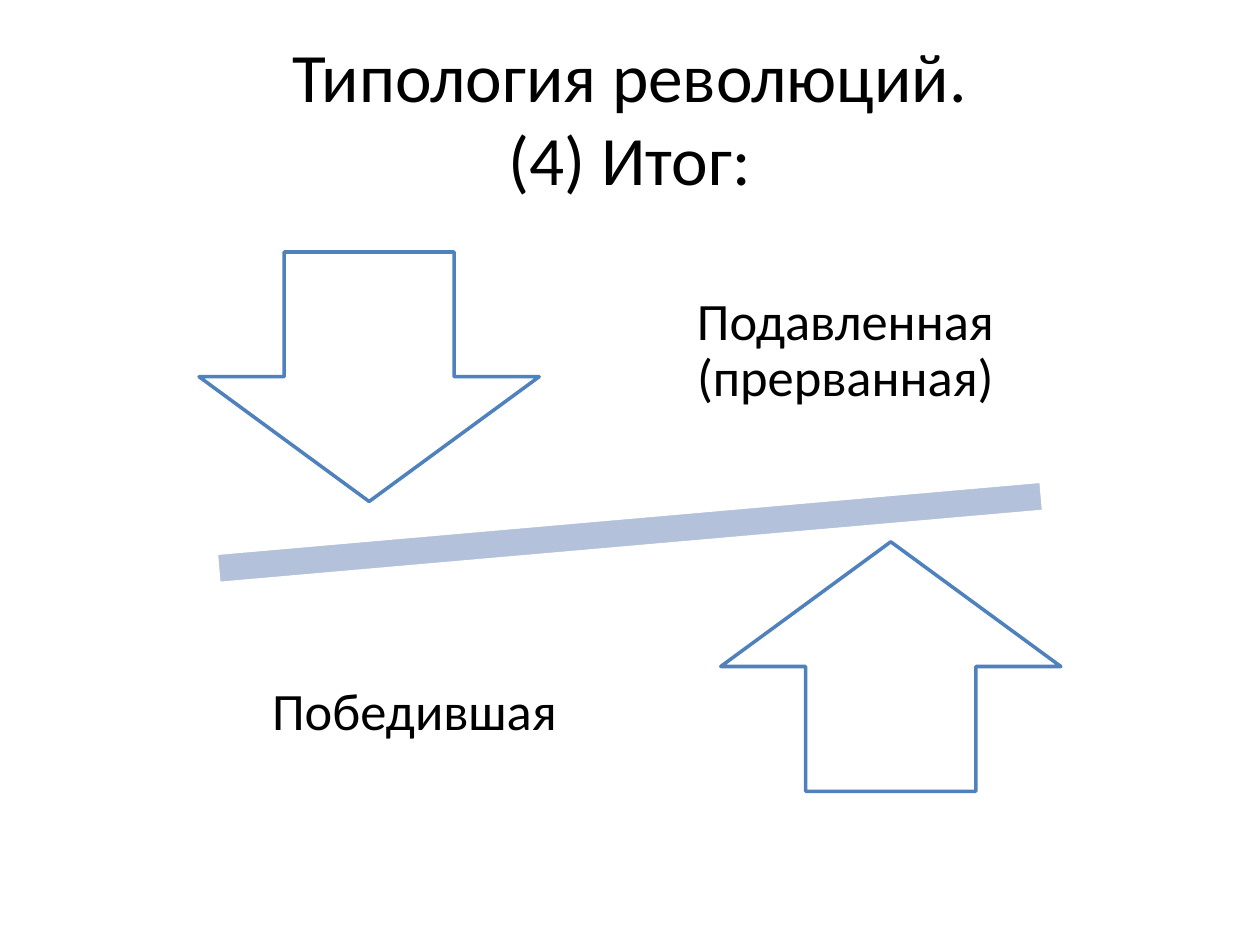
import pptx
import pptx.util
import pptx.dml.color
import pptx.enum.shapes
import pptx.enum.text

Inches = pptx.util.Inches
Pt = pptx.util.Pt
SHAPES = pptx.enum.shapes.MSO_SHAPE


def color(hex_value):
    return pptx.dml.color.RGBColor.from_string(hex_value)


def add_text(page, left, top, width, height, text, size, inset):
    box = page.shapes.add_textbox(Inches(left), Inches(top), Inches(width), Inches(height))
    frame = box.text_frame
    frame.word_wrap = True
    frame.vertical_anchor = pptx.enum.text.MSO_ANCHOR.MIDDLE
    frame.margin_left = frame.margin_right = Inches(inset)
    frame.margin_top = frame.margin_bottom = Inches(inset)
    para = frame.paragraphs[0]
    para.text = text
    para.alignment = pptx.enum.text.PP_ALIGN.CENTER
    for span in para.runs:
        span.font.size = Pt(size)
        span.font.name = "Calibri"
        span.font.color.rgb = color("000000")
    return para


def add_figure(page, kind, left, top, width, height, fill, line):
    figure = page.shapes.add_shape(kind, Inches(left), Inches(top), Inches(width), Inches(height))
    figure.shadow.inherit = False
    figure.fill.solid()
    figure.fill.fore_color.rgb = color(fill)
    figure.line.color.rgb = color(line)
    figure.line.width = Pt(2)
    return figure


def add_title(page, left, top, width, height):
    add_text(page, left, top, width, height, "Типология революций.\v(4) Итог:", 39.6, 0.05)


def add_balance(page, left, top, width, height):
    """Tilted bar with an arrow and a label on each side."""
    bar_height = 1.02
    bar = add_figure(page, SHAPES.MATH_MINUS, left, top + (height - bar_height) / 2,
                     width, bar_height, "B3C1DB", "FFFFFF")
    bar.rotation = 355

    arrow_width, arrow_height = 2.7, 1.98
    label_width, label_height = 2.88, 2.08
    arrow_inset, label_inset = 1.05, 1.32
    sides = [
        (SHAPES.DOWN_ARROW, arrow_inset, 0.25,
         "Подавленная (прерванная)", width - label_inset - label_width, 0),
        (SHAPES.UP_ARROW, width - arrow_inset - arrow_width, 2.55,
         "Победившая", label_inset, height - label_height),
    ]
    for kind, arrow_x, arrow_y, text, label_x, label_y in sides:
        add_figure(page, kind, left + arrow_x, top + arrow_y,
                   arrow_width, arrow_height, "FFFFFF", "4F81BD")
        para = add_text(page, left + label_x, top + label_y,
                        label_width, label_height, text, 30, 0.23)
        para.line_spacing = 0.9


def main():
    deck = pptx.Presentation()
    deck.slide_width = Inches(10)
    deck.slide_height = Inches(7.5)
    page = deck.slides.add_slide(deck.slide_layouts[6])
    add_title(page, 0.5, 0.3, 9, 1.25)
    add_balance(page, 0.53, 1.75, 8.94, 4.95)
    deck.save("out.pptx")


if __name__ == "__main__":
    main()
